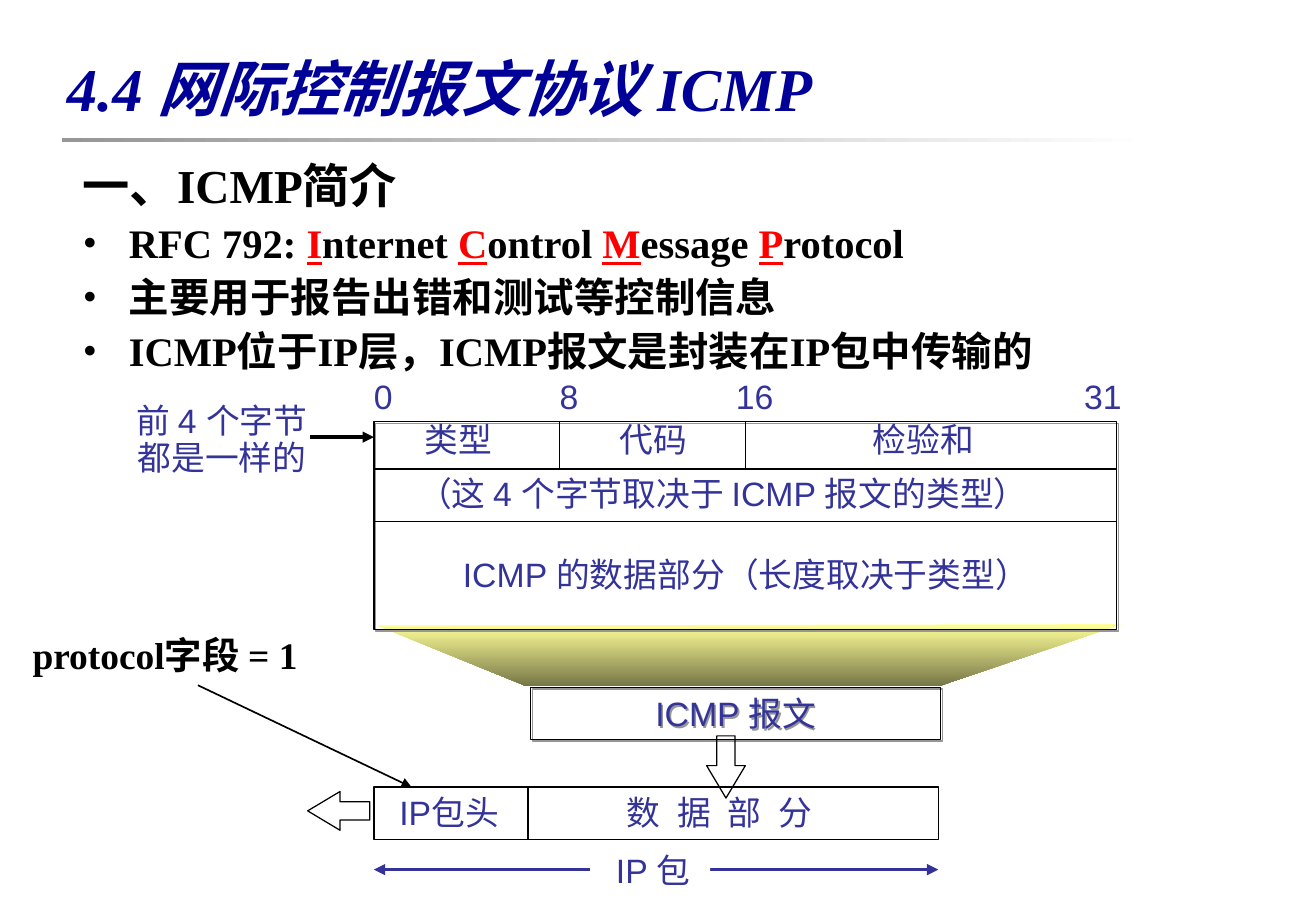
from dataclasses import dataclass

from lxml.etree import SubElement
from pptx import Presentation
from pptx.dml.color import RGBColor
from pptx.enum.shapes import MSO_CONNECTOR, MSO_SHAPE
from pptx.enum.text import MSO_ANCHOR, MSO_AUTO_SIZE, PP_ALIGN
from pptx.oxml.ns import qn
from pptx.util import Emu, Inches, Pt


@dataclass(frozen=True)
class Theme:
    serif: str = "Times New Roman"
    sans: str = "Arial"
    title: str = "000099"
    label: str = "333399"
    ink: str = "000000"
    accent: str = "FF0000"
    paper: str = "FFFFFF"
    shade: str = "969696"
    funnel: tuple = ("FFFF99", "767647")
    title_size: float = 36
    heading_size: float = 28
    bullet_size: float = 24
    field_size: float = 22.2
    label_size: float = 20


THEME = Theme()
WIDTH, HEIGHT = 10.84, 7.5

# The diagram grid: 32 bit columns across the message, rows one cell high
BIT, ROW = 6.12 / 32, 0.43
GRID_LEFT, GRID_TOP = 3.08, 3.47


def column(bit):
    return Inches(GRID_LEFT + bit * BIT)


def row(number):
    return Inches(GRID_TOP + number * ROW)


def grid_box(left, top, width, height):
    return column(left), row(top), Inches(width * BIT), Inches(height * ROW)


def page_box(left, top, width, height):
    return (Inches(WIDTH * left), Inches(HEIGHT * top),
            Inches(WIDTH * width), Inches(HEIGHT * height))


def apply(target, **formats):
    for name, value in formats.items():
        setattr(target, name, value)


def add_span(para, text, color, size, font=THEME.sans, **formats):
    span = para.add_run()
    span.text = text
    apply(span.font, name=font, size=Pt(size), **formats)
    span.font.color.rgb = RGBColor.from_string(color)
    return span


def add_gradient(shape, colors, angle):
    shape.fill.gradient()
    shape.fill.gradient_angle = angle
    for stop, color in zip(shape.fill.gradient_stops, colors):
        stop.color.rgb = RGBColor.from_string(color)


def add_block(page, box, kind=MSO_SHAPE.RECTANGLE, fill=None, outline=True):
    shape = page.shapes.add_shape(kind, *box)
    shape.shadow.inherit = False
    if fill:
        shape.fill.solid()
        shape.fill.fore_color.rgb = RGBColor.from_string(fill)
    else:
        shape.fill.background()
    if outline:
        shape.line.color.rgb = RGBColor.from_string(THEME.ink)
        shape.line.width = Pt(0.75)
    else:
        shape.line.fill.background()
    return shape


def add_shadow(shape):
    effects = shape._element.spPr.find(qn("a:effectLst"))
    shadow = SubElement(effects, qn("a:outerShdw"), dist=str(Pt(1.4)),
                        dir="2700000", algn="ctr", rotWithShape="0")
    SubElement(shadow, qn("a:srgbClr"), val=THEME.shade)


def add_block_arrow(page, left, top, rotation=0):
    arrow = add_block(page, grid_box(left, top, 1.67, 1.19), MSO_SHAPE.DOWN_ARROW)
    arrow.rotation = rotation
    arrow.adjustments[0], arrow.adjustments[1] = 0.472, 0.836


def add_line(page, start, end, width=0.75, color=THEME.ink, heads=()):
    line = page.shapes.add_connector(
        MSO_CONNECTOR.STRAIGHT, column(start[0]), row(start[1]),
        column(end[0]), row(end[1]))
    line.line.color.rgb = RGBColor.from_string(color)
    line.line.width = Pt(width)
    for head in heads:
        SubElement(line.line._get_or_add_ln(), qn(f"a:{head}"), type="triangle")
    SubElement(line._element.spPr, qn("a:effectLst"))


def add_label(page, lines, center, top, width, height=1.02, leading=1.0, tracking=0):
    box = page.shapes.add_textbox(*grid_box(center - width / 2, top, width, height))
    frame = box.text_frame
    apply(frame, word_wrap=False, auto_size=MSO_AUTO_SIZE.SHAPE_TO_FIT_TEXT)
    for index, text in enumerate(lines.split("\n")):
        para = frame.add_paragraph() if index else frame.paragraphs[0]
        apply(para, alignment=PP_ALIGN.CENTER, line_spacing=leading)
        span = add_span(para, text, THEME.label, THEME.label_size)
        if tracking:
            span.font._element.set("spc", str(tracking))


def add_title(page):
    title = page.shapes.title
    left, top, width, height = page_box(0.0415, 0.0373, 0.908, 0.116)
    apply(title, left=left, top=top, width=width, height=height)
    apply(title.text_frame, auto_size=MSO_AUTO_SIZE.NONE, word_wrap=True,
          vertical_anchor=MSO_ANCHOR.MIDDLE)
    para = title.text_frame.paragraphs[0]
    para.alignment = PP_ALIGN.LEFT
    add_span(para, "4.4 网际控制报文协议 ICMP", THEME.title, THEME.title_size,
             THEME.serif, bold=True, italic=True)
    rule = add_block(page, page_box(0.047, 0.152, 0.83, 0.004), outline=False)
    add_gradient(rule, (THEME.shade, THEME.paper), 0)


def add_introduction(page):
    box = page.shapes.add_textbox(*page_box(0.0539, 0.172, 0.918, 0.249))
    frame = box.text_frame
    frame.word_wrap = True
    heading = frame.paragraphs[0]
    heading.line_spacing = 0.9
    add_span(heading, "一、ICMP简介", THEME.ink, THEME.heading_size, THEME.serif, bold=True)

    # Words marked with * show their initial in the accent colour
    for text in ("RFC 792: *Internet *Control *Message *Protocol",
                 "主要用于报告出错和测试等控制信息",
                 "ICMP位于IP层，ICMP报文是封装在IP包中传输的"):
        para = frame.add_paragraph()
        apply(para, line_spacing=0.9, space_before=Pt(6))
        layout = para._p.get_or_add_pPr()
        layout.set("marL", str(Inches(0.38)))
        layout.set("indent", str(-Inches(0.38)))
        SubElement(SubElement(layout, qn("a:buClr")), qn("a:srgbClr"), val=THEME.ink)
        SubElement(layout, qn("a:buFont"), typeface=THEME.serif)
        SubElement(layout, qn("a:buChar"), char="•")
        plain, *words = text.split("*")
        pieces = [(plain, False)]
        for word in words:
            pieces += [(word[0], True), (word[1:], False)]
        for piece, marked in pieces:
            add_span(para, piece, THEME.accent if marked else THEME.ink,
                     THEME.bullet_size, THEME.serif, bold=True, underline=marked)


def add_packet(page):
    add_block_arrow(page, -2.35, 6.86, rotation=90)
    add_block(page, grid_box(0, 7, 24.31, 1))
    add_line(page, (6.64, 7), (6.64, 8))
    add_label(page, "IP包头", 3.24, 6.98, 6.2)
    add_label(page, "数 据 部 分", 14.88, 6.98, 10, tracking=280)
    add_line(page, (0, 8.58), (24.31, 8.58), 2.25, THEME.label, ("headEnd", "tailEnd"))
    add_block(page, grid_box(9.31, 8.19, 5.18, 0.72), fill=THEME.paper, outline=False)
    add_label(page, "IP 包", 12.03, 8.09, 4.6)


def add_funnel(page):
    corners = [(column(bit), row(top)) for bit, top in
               ((0.16, 3.91), (6.59, 5.07), (24.31, 5.07), (32.21, 3.88))]
    builder = page.shapes.build_freeform(*corners[0], scale=Emu(1))
    builder.add_line_segments(corners[1:], close=True)
    funnel = builder.convert_to_shape()
    funnel.shadow.inherit = False
    funnel.line.fill.background()
    add_gradient(funnel, THEME.funnel, 270)


def add_message(page):
    # Encapsulated message
    message = add_block(page, grid_box(6.75, 5.09, 17.67, 1))
    add_shadow(message)
    apply(message.text_frame, word_wrap=False, vertical_anchor=MSO_ANCHOR.MIDDLE)
    para = message.text_frame.paragraphs[0]
    para.alignment = PP_ALIGN.CENTER
    add_span(para, "ICMP 报文", THEME.label, THEME.label_size)
    add_block_arrow(page, 14.33, 6.02)

    # Message format
    add_shadow(add_block(page, grid_box(0, 0, 32, 3.98)))
    for top in (0.91, 1.91):
        add_line(page, (0, top), (32, top))
    for bit in (8, 16):
        add_line(page, (bit, 0.91), (bit, 0))
    for bit in (0, 8, 16, 31):
        add_label(page, str(bit), bit + 0.4, -0.98, 1.83 if bit < 10 else 2.67)
    for text, center, top, width in (
            ("类型", 3.63, -0.16, 4.4),
            ("代码", 12.05, -0.16, 4.4),
            ("检验和", 23.66, -0.16, 5.9),
            ("（这 4 个字节取决于 ICMP 报文的类型）", 15.03, 0.86, 28.9),
            ("ICMP 的数据部分（长度取决于类型）", 16.03, 2.42, 26)):
        add_label(page, text, center, top, width)


def add_notes_beside(page):
    add_label(page, "前 4 个字节\n都是一样的", -6.54, -0.44, 9.2, 1.63, 0.9)
    add_line(page, (-2.77, 0.3), (0, 0.3), 2.25, heads=("tailEnd",))
    field = page.shapes.add_textbox(*grid_box(-15.22, 4.09, 14.07, 1.33))
    field.text_frame.word_wrap = True
    para = field.text_frame.paragraphs[0]
    para.line_spacing = 0.8
    add_span(para, "protocol字段 = 1", THEME.ink, THEME.field_size, THEME.serif, bold=True)
    add_line(page, (-7.58, 5.05), (1.62, 7), 1, heads=("tailEnd",))


def main():
    deck = Presentation()
    apply(deck, slide_width=Inches(WIDTH), slide_height=Inches(HEIGHT))
    page = deck.slides.add_slide(deck.slide_layouts.get_by_name("Title Only"))
    for add_part in (add_title, add_introduction, add_packet, add_funnel,
                     add_message, add_notes_beside):
        add_part(page)
    deck.save("out.pptx")


if __name__ == "__main__":
    main()
